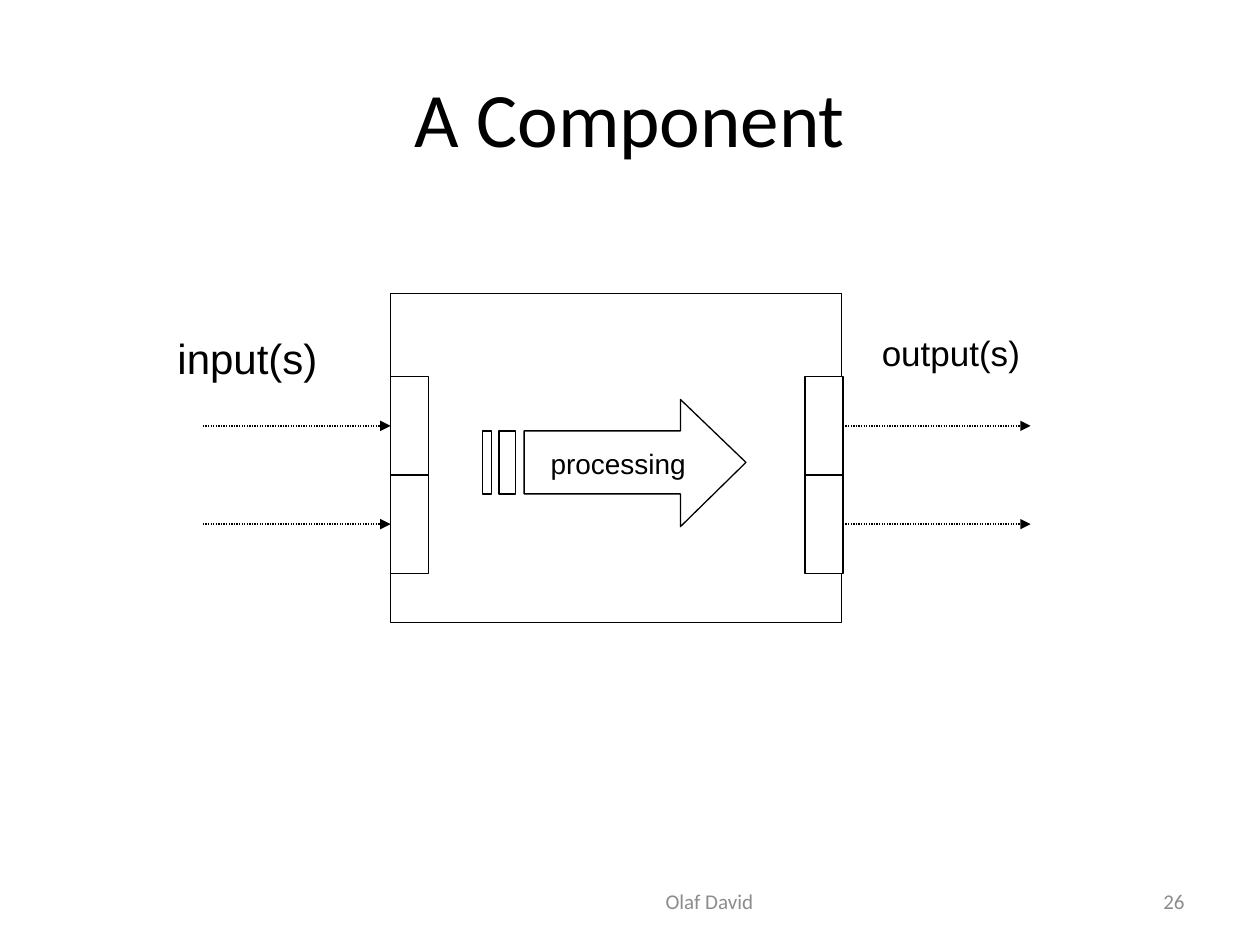
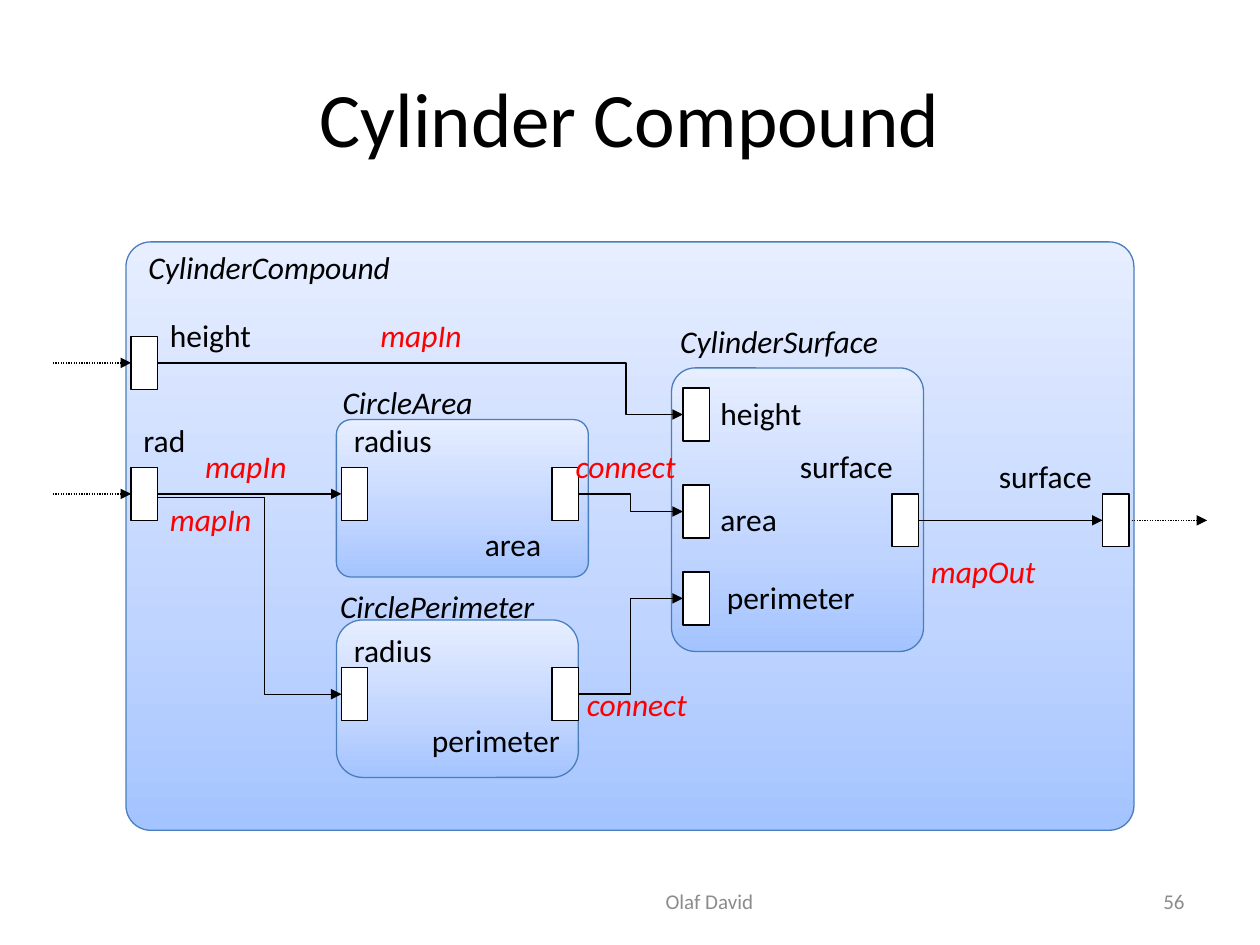
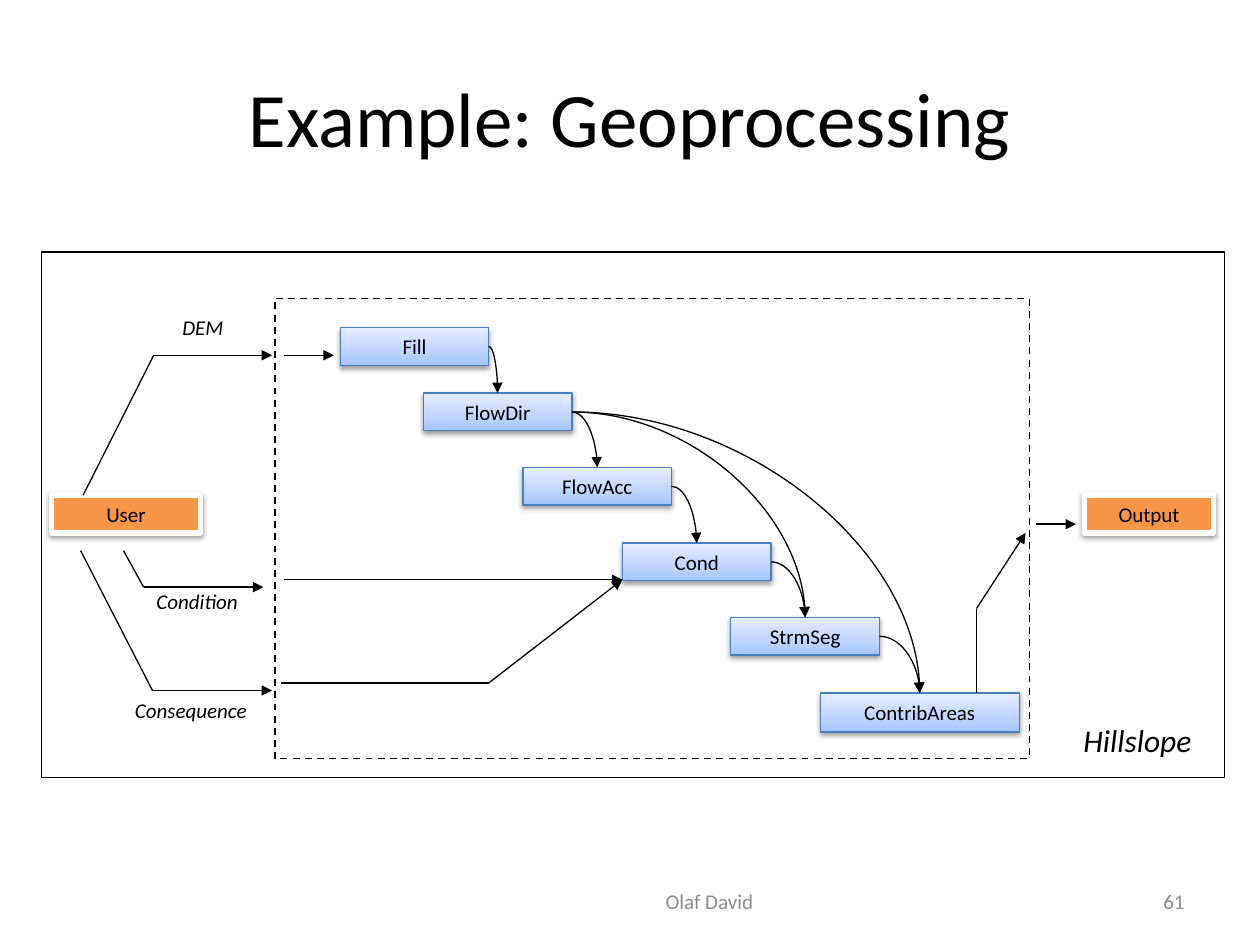
import copy
import lxml.etree
import pptx
import pptx.dml.color
import pptx.enum.dml
import pptx.enum.shapes
import pptx.enum.text
import pptx.oxml.ns
import pptx.util

Inches = pptx.util.Inches
Pt = pptx.util.Pt
RGB = pptx.dml.color.RGBColor.from_string
qn = pptx.oxml.ns.qn
SHAPE = pptx.enum.shapes.MSO_SHAPE
DASH = pptx.enum.dml.MSO_LINE
ALIGN = pptx.enum.text.PP_ALIGN
ANCHOR = pptx.enum.text.MSO_ANCHOR

THEME = {
    "black": "000000", "white": "FFFFFF", "gray": "8C8C8C", "red": "FF0000",
    "orange": "F79646", "edge": "4B7EBC",
    "blue": [(0, "A4C4FF"), (0.35, "BFD4FF"), (1, "E6EEFF")],
    "font": "Calibri", "diagram_font": "Arial",
    "title": 44, "input": 24, "output": 20, "process": 16, "label": 18, "small": 12,
}
AUTHOR = "Olaf David"

COMPONENT = {
    "title": "A Component", "number": "26",
    "body": (3.1, 2.33, 3.58, 2.61),
    "port_size": (0.3, 0.78), "port_x": (3.1, 6.39), "port_y": (2.99, 3.77),
    "arrow_x": (1.61, 6.69), "arrow_length": 1.49,
    "labels": [("input(s)", (1.31, 2.59, 1.79, 0.78), "input"),
               ("output(s)", (6.9, 2.58, 1.77, 0.5), "output")],
    "process": "processing",
    "process_outline": [
        [(5.4, 3.17), (5.4, 3.42), (4.16, 3.42), (4.16, 3.92), (5.4, 3.92), (5.4, 4.18), (5.92, 3.67)],
        [(3.96, 3.42), (3.96, 3.92), (4.09, 3.92), (4.09, 3.42)],
        [(3.83, 3.42), (3.83, 3.92), (3.9, 3.92), (3.9, 3.42)],
    ],
}

COMPOUND = {
    "title": "Cylinder Compound", "number": "56",
    "boxes": [((1, 1.92, 8, 4.67), 0.042), ((2.67, 3.33, 2, 1.25), 0.094),
              ((5.33, 2.92, 2, 2.25), 0.094), ((2.67, 4.92, 1.92, 1.25), 0.167)],
    "port_size": (0.21, 0.42),
    "ports": {
        "height": (1.04, 2.67), "rad": (1.04, 3.71), "surface": (8.75, 3.92),
        "area.radius": (2.71, 3.71), "area.area": (4.38, 3.71),
        "perimeter.radius": (2.71, 5.3), "perimeter.perimeter": (4.38, 5.3),
        "surface.height": (5.42, 3.08), "surface.area": (5.42, 3.85),
        "surface.perimeter": (5.42, 4.54), "surface.surface": (7.08, 3.92),
    },
    "wires": [
        ("rad", "area.radius", None, 0), ("surface.surface", "surface", None, 0),
        ("perimeter.perimeter", "surface.perimeter", 0.5, 0),
        ("area.area", "surface.area", 0.5, 0),
        ("height", "surface.height", 0.892, 0),
        ("rad", "perimeter.radius", 0.584, 0.03),
    ],
    "inputs": ["height", "rad"], "outputs": ["surface"], "outside": 0.62,
    "names": [("CylinderCompound", 1.08, 1.92), ("CircleArea", 2.62, 2.99),
              ("CirclePerimeter", 2.6, 4.61), ("CylinderSurface", 5.3, 2.51)],
    "fields": [("rad", 1.04, 3.29), ("radius", 2.71, 3.29), ("area", 3.75, 4.12),
               ("radius", 2.71, 4.96), ("perimeter", 3.33, 5.67), ("surface", 6.25, 3.5),
               ("height", 1.25, 2.46), ("surface", 7.83, 3.58), ("perimeter", 5.67, 4.54),
               ("area", 5.62, 3.92), ("height", 5.62, 3.08)],
    "links": [("mapOut", 7.29, 4.33), ("mapIn", 2.92, 2.46), ("mapIn", 1.25, 3.92),
              ("connect", 4.56, 5.39), ("mapIn", 1.53, 3.5), ("connect", 4.47, 3.5)],
}

GEO = {
    "title": "Example: Geoprocessing", "number": "61",
    "frame": (0.33, 2, 9.39, 4.17), "model": (2.18, 2.37, 5.99, 3.65),
    "steps": {
        "Fill": (2.7, 2.6, 1.18, 0.3), "FlowDir": (3.36, 3.12, 1.18, 0.3),
        "FlowAcc": (4.15, 3.71, 1.18, 0.3), "Cond": (4.94, 4.31, 1.18, 0.3),
        "StrmSeg": (5.8, 4.9, 1.18, 0.3), "ContribAreas": (6.51, 5.5, 1.58, 0.31),
    },
    "flows": [("Fill", "FlowDir"), ("FlowDir", "FlowAcc"), ("FlowAcc", "Cond"),
              ("Cond", "StrmSeg"), ("StrmSeg", "ContribAreas"),
              ("FlowDir", "ContribAreas"), ("FlowDir", "StrmSeg")],
    "ends": {"User": (0.41, 3.93, 1.18, 0.3), "Output": (8.61, 3.93, 1.02, 0.3)},
    "routes": [
        [(0.66, 3.93), (1.22, 2.82), (2.16, 2.82)],
        [(2.25, 2.82), (2.65, 2.82)],
        [(0.64, 4.37), (1.21, 5.48), (2.16, 5.48)],
        [(0.98, 4.37), (1.14, 4.66), (2.09, 4.66)],
        [(2.25, 4.6), (4.94, 4.6)],
        [(2.23, 5.42), (3.88, 5.42), (4.94, 4.6)],
        [(7.75, 5.5), (7.75, 4.83), (8.14, 4.23)],
        [(8.22, 4.16), (8.54, 4.16)],
    ],
    "inputs": [("Consequence", (0.61, 5.49, 1.81, 0.3)), ("Condition", (0.66, 4.62, 1.81, 0.3)),
               ("DEM", (1.06, 2.45, 1.1, 0.3))],
    "name": ("Hillslope", (8.5, 5.67, 1.08, 0.4)),
}


def write(sp, text, size, color="black", font="font", italic=None,
          align=ALIGN.LEFT, anchor=ANCHOR.TOP, **frame):
    tf = sp.text_frame
    for key, value in {"word_wrap": True, "vertical_anchor": anchor, **frame}.items():
        setattr(tf, key, value)
    p = tf.paragraphs[0]
    p.alignment = align
    r = p.add_run()
    r.text = text
    for key, value in {"name": THEME[font], "size": Pt(THEME[size]), "italic": italic}.items():
        setattr(r.font, key, value)
    r.font.color.rgb = RGB(THEME[color])


def label(s, text, box, size="label", **fmt):
    write(s.shapes.add_textbox(*map(Inches, box)), text, size, **fmt)


def stroke(line, color="black", width=0.75, dash=None):
    line.color.rgb = RGB(THEME[color])
    line.width = Pt(width)
    if dash is not None:
        line.dash_style = dash


def paint(sp, fill="white", **line):
    sp.shadow.inherit = False
    if fill is None:
        sp.fill.background()
    elif fill == "blue":
        sp.fill.gradient()
        sp.fill.gradient_angle = 90
        stops = sp.element.spPr.find(".//" + qn("a:gsLst"))
        stops.append(copy.deepcopy(stops[0]))
        for stop, (position, color) in zip(sp.fill.gradient_stops, THEME[fill]):
            stop.position = position
            stop.color.rgb = RGB(color)
    else:
        sp.fill.solid()
        sp.fill.fore_color.rgb = RGB(THEME[fill])
    stroke(sp.line, **line)


def block(s, box, kind=SHAPE.RECTANGLE, **fmt):
    sp = s.shapes.add_shape(kind, *map(Inches, box))
    paint(sp, **fmt)
    return sp


def cast_shadow(sp):
    effects = sp.element.spPr.find(qn("a:effectLst"))
    shadow = lxml.etree.SubElement(effects, qn("a:outerShdw"), blurRad=str(Pt(3.1)),
                                   dist=str(Pt(1.6)), dir="5400000", rotWithShape="0")
    color = lxml.etree.SubElement(shadow, qn("a:srgbClr"), val=THEME["black"])
    lxml.etree.SubElement(color, qn("a:alpha"), val="38000")


def connect(s, start, end, preset="line", bend=None, dash=None, arrow=True):
    cn = s.shapes.add_connector(pptx.enum.shapes.MSO_CONNECTOR.STRAIGHT,
                                *map(Inches, start + end))
    stroke(cn.line, dash=dash)
    spPr = cn.element.spPr
    geom = spPr.find(qn("a:prstGeom"))
    geom.set("prst", preset)
    if bend is not None:
        lxml.etree.SubElement(geom.find(qn("a:avLst")), qn("a:gd"), name="adj1",
                              fmla=f"val {round(bend * 100000)}")
    if arrow:
        lxml.etree.SubElement(spPr.find(qn("a:ln")), qn("a:tailEnd"), type="triangle")
    lxml.etree.SubElement(spPr, qn("a:effectLst"))


def add_slide(prs, data):
    s = prs.slides.add_slide(prs.slide_layouts[5])
    title = s.shapes.title
    for key, value in zip(("left", "top", "width", "height"), (0.5, 0.3, 9, 1.25)):
        setattr(title, key, Inches(value))
    middle = {"anchor": ANCHOR.MIDDLE}
    write(title, data["title"], "title", align=ALIGN.CENTER, **middle)
    label(s, AUTHOR, (3.42, 6.95, 4.42, 0.4), "small", color="gray", align=ALIGN.CENTER, **middle)
    label(s, data["number"], (8.08, 6.95, 1.42, 0.4), "small", color="gray",
          align=ALIGN.RIGHT, **middle)
    return s


def component_slide(prs):
    d = COMPONENT
    s = add_slide(prs, d)
    block(s, d["body"])
    for px, ax in zip(d["port_x"], d["arrow_x"]):
        for py in d["port_y"]:
            block(s, (px, py) + d["port_size"])
            y = py + d["port_size"][1] / 2
            connect(s, (ax, y), (ax + d["arrow_length"], y), dash=DASH.ROUND_DOT)
    for text, box, size in d["labels"]:
        label(s, text, box, size, font="diagram_font")
    outline = [[(Inches(x), Inches(y)) for x, y in part] for part in d["process_outline"]]
    fb = s.shapes.build_freeform(*outline[0][0])
    for i, points in enumerate(outline):
        if i:
            fb.move_to(*points[0])
        fb.add_line_segments(points[1:], close=True)
    sp = fb.convert_to_shape()
    paint(sp)
    write(sp, d["process"], "process", font="diagram_font", anchor=ANCHOR.MIDDLE,
          margin_left=Inches(0.54))


def compound_slide(prs):
    d = COMPOUND
    s = add_slide(prs, d)
    for box, radius in d["boxes"]:
        sp = block(s, box, SHAPE.ROUNDED_RECTANGLE, fill="blue", color="edge")
        sp.adjustments[0] = radius
    w, h = d["port_size"]
    for x, y in d["ports"].values():
        block(s, (x, y, w, h))
    entry = {name: (x, y + h / 2) for name, (x, y) in d["ports"].items()}
    leave = {name: (x + w, y) for name, (x, y) in entry.items()}
    for src, dst, bend, drop in d["wires"]:
        x, y = leave[src]
        connect(s, (x, y + drop), entry[dst], "line" if bend is None else "bentConnector3", bend)
    for name in d["inputs"]:
        x, y = entry[name]
        connect(s, (x - d["outside"], y), (x, y), dash=DASH.ROUND_DOT)
    for name in d["outputs"]:
        x, y = leave[name]
        connect(s, (x, y), (x + d["outside"], y), dash=DASH.ROUND_DOT)
    styles = {"names": (2.71, {"italic": True}), "fields": (1.46, {}),
              "links": (1.46, {"italic": True, "color": "red"})}
    for group, (width, fmt) in styles.items():
        for text, x, y in d[group]:
            label(s, text, (x, y, width, 0.42), **fmt)


def geo_slide(prs):
    d = GEO
    s = add_slide(prs, d)
    block(s, d["frame"])
    block(s, d["model"], fill=None, width=1, dash=DASH.DASH)
    styles = {"steps": {"fill": "blue", "color": "edge"},
              "ends": {"fill": "orange", "color": "white", "width": 3}}
    for group, fmt in styles.items():
        for text, box in d[group].items():
            sp = block(s, box, **fmt)
            cast_shadow(sp)
            write(sp, text, "small", align=ALIGN.CENTER)
    for text, box in d["inputs"]:
        label(s, text, box, "small", italic=True, align=ALIGN.CENTER)
    for points in d["routes"]:
        for i, (start, end) in enumerate(zip(points, points[1:]), 2):
            connect(s, start, end, arrow=i == len(points))
    for src, dst in d["flows"]:
        x, y, w, h = d["steps"][src]
        tx, ty, tw, _ = d["steps"][dst]
        connect(s, (x + w, y + h / 2), (tx + tw / 2, ty), "curvedConnector2")
    label(s, *d["name"], italic=True, word_wrap=False)


def main():
    prs = pptx.Presentation()
    prs.slide_width, prs.slide_height = Inches(10), Inches(7.5)
    for build in (component_slide, compound_slide, geo_slide):
        build(prs)
    prs.save("out.pptx")


if __name__ == "__main__":
    main()
